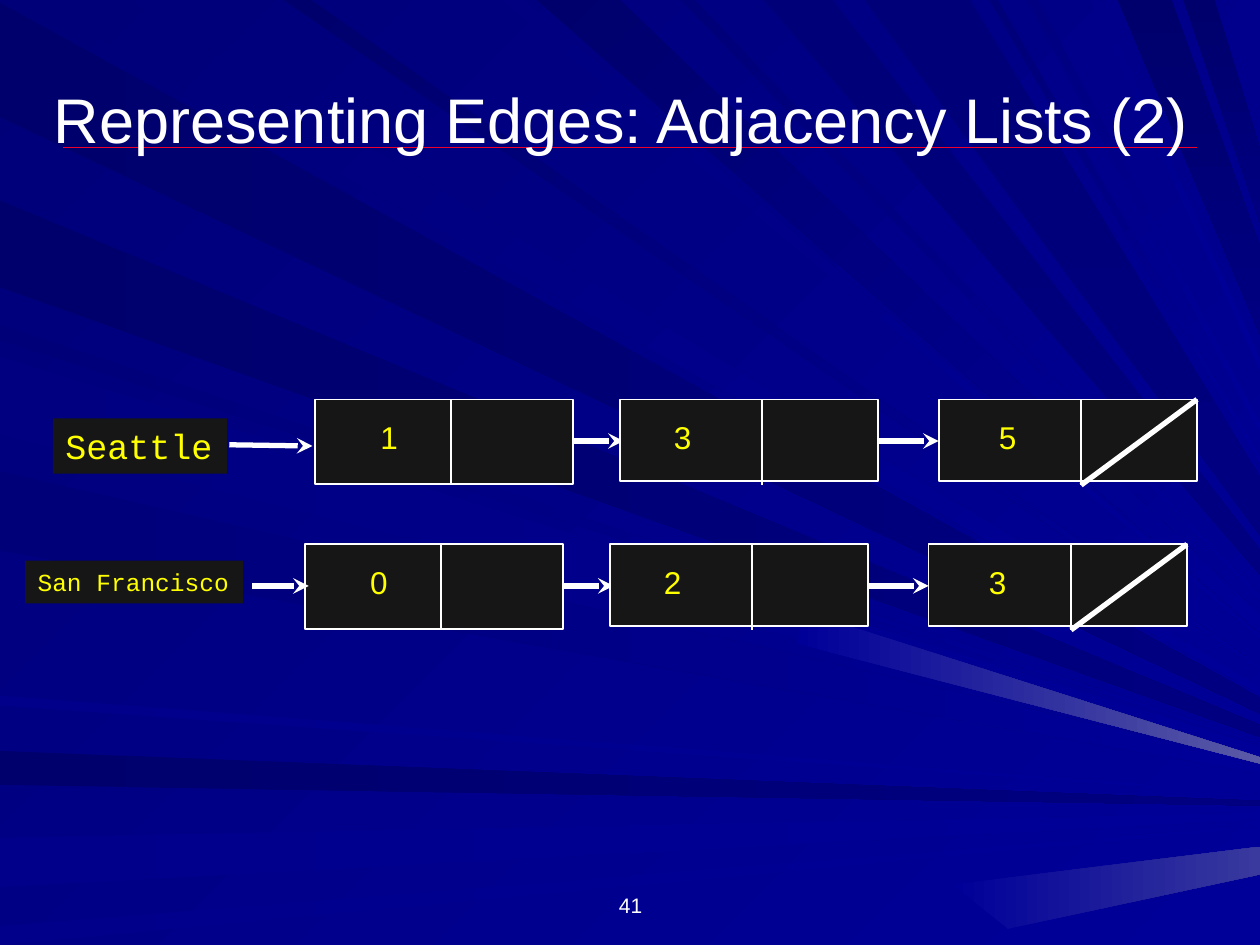
from lxml.etree import SubElement
from pptx import Presentation
from pptx.dml.color import RGBColor
from pptx.enum.shapes import MSO_CONNECTOR, MSO_SHAPE
from pptx.enum.text import MSO_ANCHOR, PP_ALIGN
from pptx.oxml.ns import qn
from pptx.util import Inches, Pt

WHITE = RGBColor(0xFF, 0xFF, 0xFF)
YELLOW = RGBColor(0xFF, 0xFF, 0x00)
CHARCOAL = RGBColor(0x16, 0x16, 0x16)
RED = RGBColor(0xEF, 0x01, 0x29)
MIDNIGHT = RGBColor(0x00, 0x00, 0x6D)
DUSK = RGBColor(0x00, 0x00, 0x78)
NAVY = RGBColor(0x00, 0x00, 0x80)
INDIGO = RGBColor(0x00, 0x00, 0x8A)
BLUE = RGBColor(0x00, 0x00, 0x99)
HAZE = RGBColor(0x39, 0x39, 0x9E)
GLOW = RGBColor(0x5A, 0x5A, 0xA6)

PAGE_WIDTH, PAGE_HEIGHT = 10, 7.5
VANISHING_X, VANISHING_Y = 11.6, 6.42

LEFT_RAYS = [
    (0.02, 0.93, MIDNIGHT, NAVY),
    (5.96, 6.23, MIDNIGHT, NAVY),
    (6.65, 7.04, INDIGO, BLUE),
    (7.35, 7.5, INDIGO, BLUE),
    (2.58, 2.7, DUSK, BLUE),
    (1.59, 2.28, MIDNIGHT, NAVY),
    (2.83, 3.45, NAVY, BLUE),
    (3.74, 4.37, DUSK, BLUE),
    (5.52, 5.6, INDIGO, BLUE),
]
TOP_RAYS = [
    (0.26, 1.01, DUSK, BLUE),
    (2.25, 2.47, MIDNIGHT, BLUE),
    (3.98, 4.16, NAVY, BLUE),
    (4.26, 4.92, MIDNIGHT, BLUE),
    (5.4, 5.52, DUSK, BLUE),
    (6.06, 6.61, DUSK, NAVY),
    (6.86, 7.7, DUSK, NAVY),
    (7.85, 7.92, DUSK, BLUE),
    (8.15, 8.24, NAVY, BLUE),
    (8.65, 8.72, INDIGO, BLUE),
    (8.87, 9.3, MIDNIGHT, NAVY),
    (9.39, 9.64, MIDNIGHT, NAVY),
]
GLOW_CORNERS = [(6.37, 4.85), (10, 6.01), (10, 6.06), (6.33, 5.11)]
HAZE_CORNERS = [(10, 6.94), (10, 6.72), (7.56, 7.02), (8, 7.37)]


def paint(fill, start, end, angle):
    fill.gradient()
    fill.gradient_angle = (360 - angle) % 360
    for stop, color in zip(fill.gradient_stops, (start, end)):
        stop.color.rgb = color


def add_polygon(page, points, start, end, angle):
    corners = [(Inches(x), Inches(y)) for x, y in points]
    builder = page.shapes.build_freeform(*corners[0])
    builder.add_line_segments(corners[1:], close=True)
    polygon = builder.convert_to_shape()
    polygon.shadow.inherit = False
    polygon.line.fill.background()
    paint(polygon.fill, start, end, angle)


def right_edge_point(x, y):
    share = (PAGE_WIDTH - x) / (VANISHING_X - x)
    return PAGE_WIDTH, y + share * (VANISHING_Y - y)


def add_ray(page, first, second, start, end, angle):
    points = [first, right_edge_point(*first), right_edge_point(*second), second]
    add_polygon(page, points, start, end, angle)


def add_backdrop(page):
    paint(page.background.fill, DUSK, BLUE, 45)
    for upper, lower, start, end in LEFT_RAYS:
        add_ray(page, (0, upper), (0, lower), start, end, 0)
    for left, right, start, end in TOP_RAYS:
        add_ray(page, (left, 0), (right, 0), start, end, 90 if end == NAVY else 45)
    add_polygon(page, GLOW_CORNERS, BLUE, GLOW, 0)
    add_polygon(page, HAZE_CORNERS, BLUE, HAZE, 0)


def add_line(page, start, end, color=WHITE, width=1, arrow=False):
    ends = [Inches(value) for value in (*start, *end)]
    connector = page.shapes.add_connector(MSO_CONNECTOR.STRAIGHT, *ends)
    connector.line.color.rgb = color
    connector.line.width = Pt(width)
    properties = connector._element.spPr
    if arrow:
        SubElement(properties.find(qn("a:ln")), qn("a:tailEnd"), type="stealth")
    SubElement(properties, qn("a:effectLst"))


def add_rectangle(page, left, top, width, height, outlined=False):
    box = page.shapes.add_shape(
        MSO_SHAPE.RECTANGLE, Inches(left), Inches(top), Inches(width), Inches(height))
    box.shadow.inherit = False
    box.fill.solid()
    box.fill.fore_color.rgb = CHARCOAL
    if outlined:
        box.line.color.rgb = WHITE
        box.line.width = Pt(1)
    else:
        box.line.fill.background()
    return box


def write(box, text, size, color, align, anchor, font="Arial", wrap=True):
    frame = box.text_frame
    frame.word_wrap = wrap
    frame.vertical_anchor = anchor
    paragraph = frame.paragraphs[0]
    paragraph.text = text
    paragraph.alignment = align
    paragraph.font.name = font
    paragraph.font.size = Pt(size)
    paragraph.font.color.rgb = color
    return paragraph


def add_caption(page, left, top, width, height, text, size, anchor):
    box = page.shapes.add_textbox(Inches(left), Inches(top), Inches(width), Inches(height))
    return write(box, text, size, WHITE, PP_ALIGN.CENTER, anchor)


def add_label(page, left, top, width, height, text, size, font="Arial", wrap=True):
    box = add_rectangle(page, left, top, width, height)
    write(box, text, size, YELLOW, PP_ALIGN.LEFT, MSO_ANCHOR.TOP, font, wrap)


def add_node(page, left, top, height, divider, value_offset, value):
    add_rectangle(page, left, top, 2.05, height, outlined=True)
    add_line(page, (left + divider, top), (left + divider, top + 0.68))
    add_label(page, left + value_offset, top + 0.1, 0.33, 0.4, value, 18)


def add_chain(page, left, top, values):
    middle = top + 0.33
    for start, end in ((4.33, 4.95), (1.92, 2.45)):
        add_line(page, (left + start, middle), (left + end, middle), width=3, arrow=True)
    nodes = [(0, 0.67, 1.08, 0.42), (2.42, 0.65, 1.13, 0.33), (4.95, 0.65, 1.13, 0.38)]
    for (offset, height, divider, value_offset), value in zip(nodes, values):
        add_node(page, left + offset, top, height, divider, value_offset, value)
    add_line(page, (left + 7, top), (left + 6.08, top + 0.68), width=3)


def main():
    deck = Presentation()
    deck.slide_width, deck.slide_height = Inches(PAGE_WIDTH), Inches(PAGE_HEIGHT)
    page = deck.slides.add_slide(deck.slide_layouts[6])
    add_backdrop(page)
    add_line(page, (0.5, 1.17), (9.5, 1.17), RED, 0.75)

    title = add_caption(page, 0.25, 0.31, 9.5, 1.25,
                        "Representing Edges: Adjacency Lists (2) ", 36, MSO_ANCHOR.MIDDLE)
    title.space_after = Pt(12)
    add_caption(page, 3.42, 6.83, 3.17, 0.5, "41", 12, MSO_ANCHOR.BOTTOM)

    add_chain(page, 2.5, 3.17, "135")
    add_label(page, 0.42, 3.32, 1.38, 0.44, "Seattle", 20, "Courier New", False)
    add_line(page, (1.82, 3.53), (2.48, 3.54), width=3, arrow=True)

    add_chain(page, 2.42, 4.32, "023")
    add_label(page, 0.2, 4.45, 1.73, 0.34, "San Francisco", 14, "Courier New", False)
    add_line(page, (2, 4.65), (2.45, 4.65), width=3, arrow=True)

    deck.save("out.pptx")


if __name__ == "__main__":
    main()
